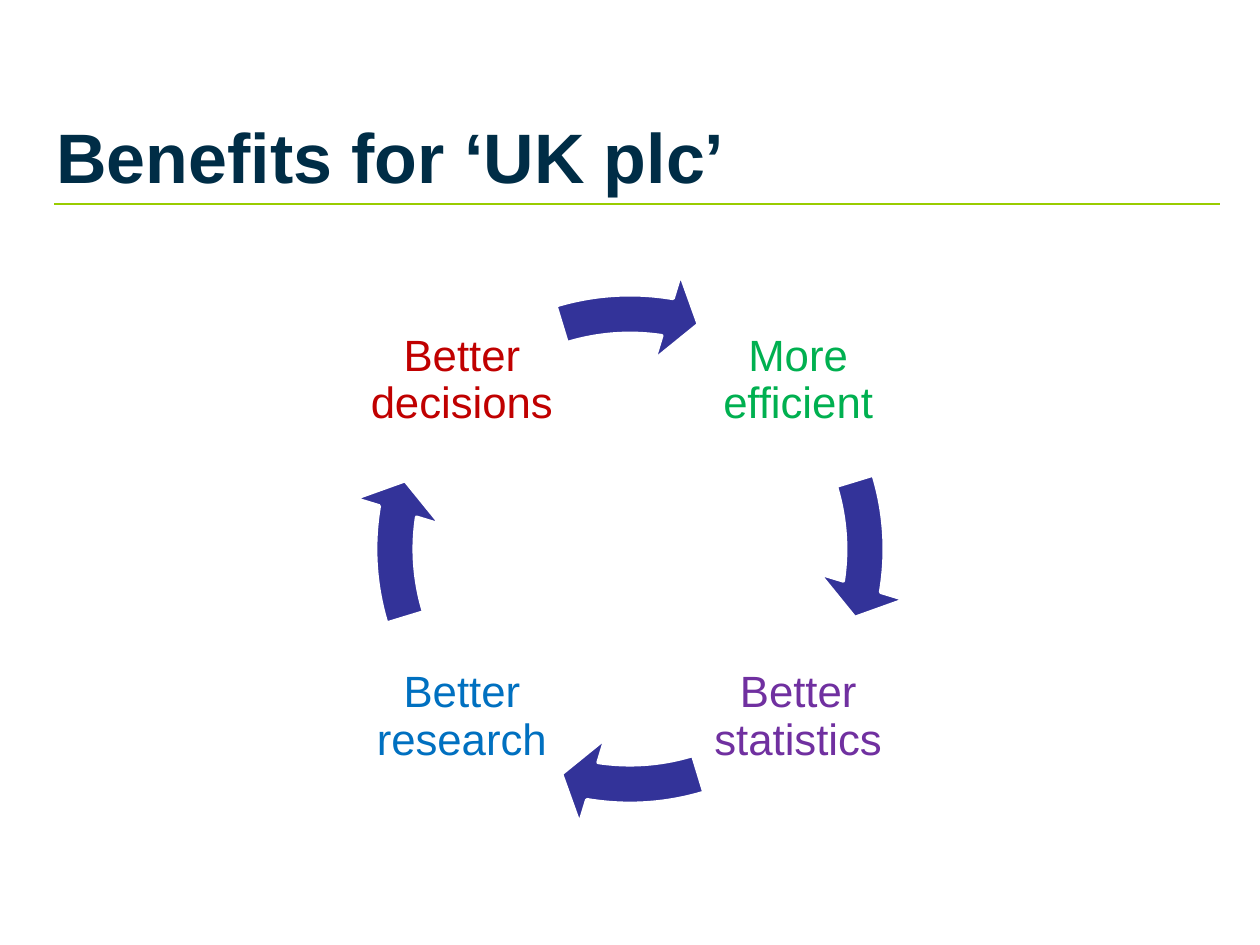
"""Build the slide showing the cycle of benefits for 'UK plc'."""
from dataclasses import dataclass

from pptx import Presentation
from pptx.dml.color import RGBColor
from pptx.enum.shapes import MSO_CONNECTOR as Connector, MSO_SHAPE as Shape
from pptx.enum.text import MSO_ANCHOR as Anchor, PP_ALIGN as Align
from pptx.oxml.ns import qn
from pptx.slide import Slide
from pptx.util import Cm, Pt
from lxml.etree import SubElement

COLORS = {
    "title": "002D46",
    "rule": "99CC00",
    "arrow": "333399",
    "outline": "FFFFFF",
    "efficient": "00B050",
    "statistics": "7030A0",
    "research": "0070C0",
    "decisions": "C00000",
}
FONT = "Arial"
CENTER_X, CENTER_Y = 12.7, 11.07
RING_SIZE = 11.28
LABEL_SIZE = 3.99
LABEL_OFFSET = 3.39
QUARTER_TURN, FULL_TURN = 54, 216
FIRST_END, FIRST_START = 5.508, 205.841


@dataclass(frozen=True)
class Benefit:
    """A benefit and the side of the centre it sits on, as signs."""

    text: str
    color: str
    side_x: int
    side_y: int


BENEFITS = [
    Benefit("More efficient", "efficient", 1, -1),
    Benefit("Better statistics", "statistics", 1, 1),
    Benefit("Better research", "research", -1, 1),
    Benefit("Better decisions", "decisions", -1, -1),
]


def rgb(name: str) -> RGBColor:
    """Return the named colour."""
    return RGBColor.from_string(COLORS[name])


def add_text(slide: Slide, text: str, *, left: float, top: float, width: float,
             height: float, size: float, color: str, bold: bool = False,
             align: Align = Align.LEFT, anchor: Anchor = Anchor.MIDDLE,
             margins: tuple[float, float] = (0.25, 0.13),
             line_spacing: float = 1.0) -> None:
    """Add a wrapped text box, with lengths in centimetres."""
    box = slide.shapes.add_textbox(Cm(left), Cm(top), Cm(width), Cm(height))
    frame = box.text_frame
    frame.word_wrap = True
    frame.vertical_anchor = anchor
    frame.margin_left = frame.margin_right = Cm(margins[0])
    frame.margin_top = frame.margin_bottom = Cm(margins[1])
    paragraph = frame.paragraphs[0]
    paragraph.alignment = align
    paragraph.line_spacing = line_spacing
    run = paragraph.add_run()
    run.text = text
    run.font.name = FONT
    run.font.size = Pt(size)
    run.font.bold = bold
    run.font.color.rgb = rgb(color)


def add_rule(slide: Slide) -> None:
    """Add the thin line under the title."""
    line = slide.shapes.add_connector(
        Connector.STRAIGHT, Cm(1.09), Cm(4.11), Cm(24.59), Cm(4.11))
    line.line.color.rgb = rgb("rule")
    line.line.width = Pt(0.75)
    SubElement(line._element.spPr, qn("a:effectLst"))


def add_benefit(slide: Slide, benefit: Benefit) -> None:
    """Add a benefit label at its corner of the cycle."""
    add_text(slide, benefit.text,
             left=CENTER_X + benefit.side_x * LABEL_OFFSET - LABEL_SIZE / 2,
             top=CENTER_Y + benefit.side_y * LABEL_OFFSET - LABEL_SIZE / 2,
             width=LABEL_SIZE, height=LABEL_SIZE, size=25, color=benefit.color,
             align=Align.CENTER, margins=(0.08, 0.08), line_spacing=0.9)


def add_arrow(slide: Slide, quarter: int) -> None:
    """Add the curved arrow that leaves the benefit of this quarter."""
    arrow = slide.shapes.add_shape(
        Shape.CIRCULAR_ARROW, Cm(CENTER_X - RING_SIZE / 2),
        Cm(CENTER_Y - RING_SIZE / 2), Cm(RING_SIZE), Cm(RING_SIZE))
    turn = quarter * QUARTER_TURN
    values = (0.069, 4.65, FIRST_END + turn,
              (FIRST_START + turn) % FULL_TURN, 0.08)
    for index, value in enumerate(values):
        arrow.adjustments[index] = value
    arrow.shadow.inherit = False
    arrow.fill.solid()
    arrow.fill.fore_color.rgb = rgb("arrow")
    arrow.line.color.rgb = rgb("outline")
    arrow.line.width = Pt(2)


def main() -> None:
    """Build and save the presentation."""
    presentation = Presentation()
    presentation.slide_width, presentation.slide_height = Cm(25.4), Cm(19.05)
    slide = presentation.slides.add_slide(presentation.slide_layouts[6])
    add_rule(slide)
    add_text(slide, "Benefits for ‘UK plc’", left=0.89, top=0.71, width=23.6,
             height=3.4, size=40, color="title", bold=True,
             anchor=Anchor.BOTTOM)
    for quarter, benefit in enumerate(BENEFITS):
        add_benefit(slide, benefit)
        add_arrow(slide, quarter)
    presentation.save("out.pptx")


if __name__ == "__main__":
    main()
